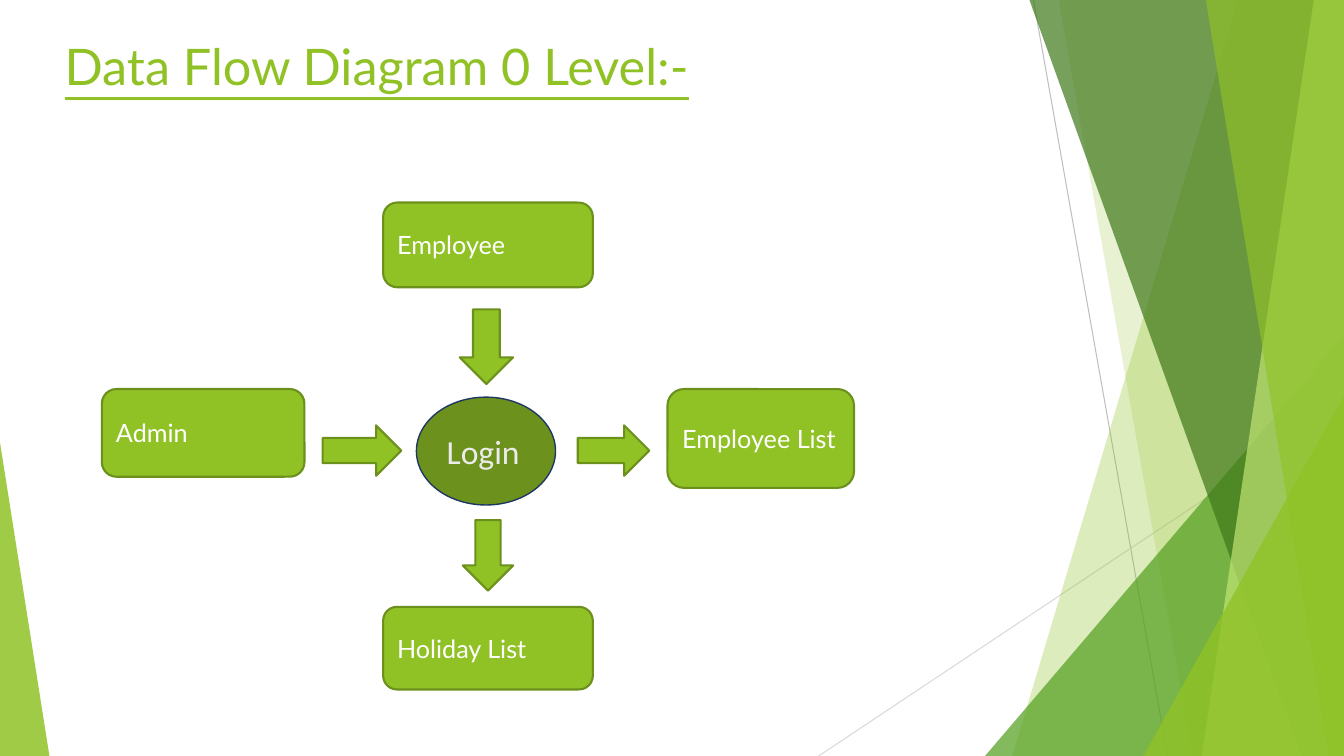
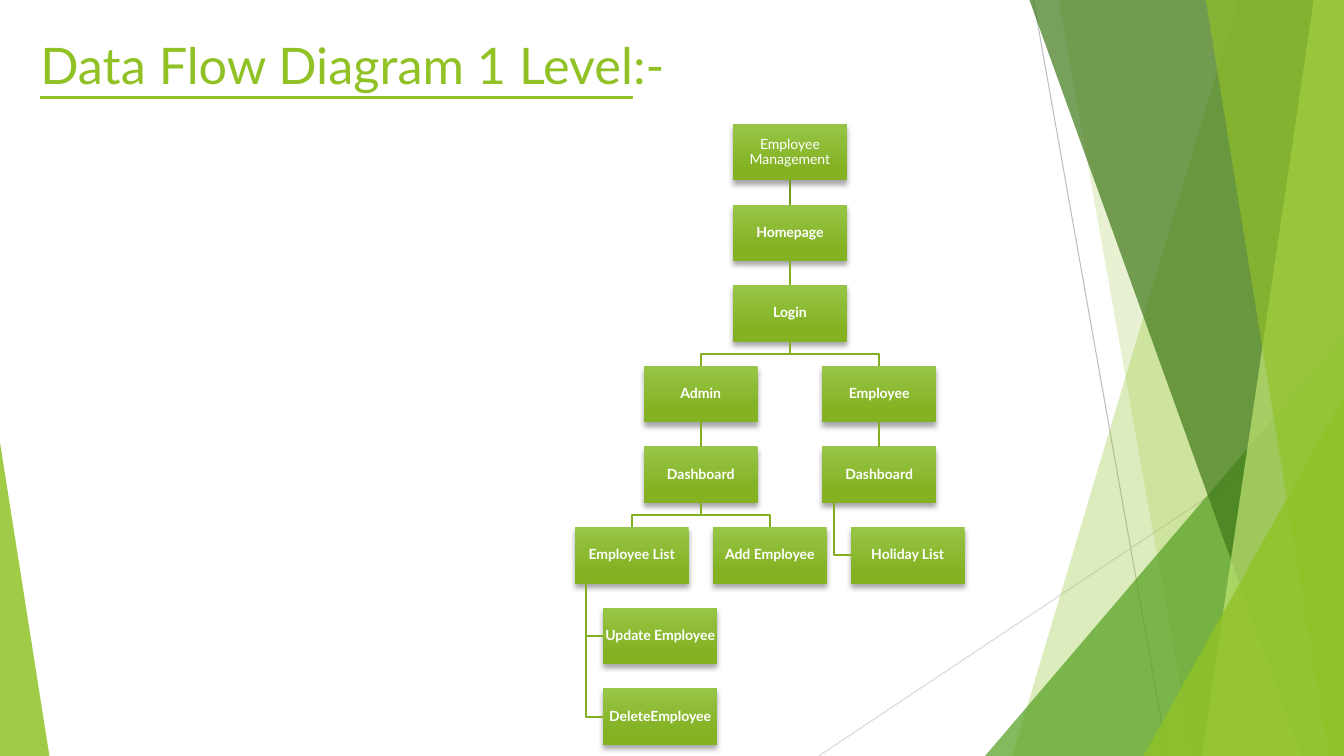
from dataclasses import dataclass, field

from lxml import etree
from pptx import Presentation
from pptx import util as u
from pptx.dml.color import RGBColor
from pptx.enum import shapes, text
from pptx.oxml.ns import qn


@dataclass(frozen=True)
class Theme:
    """Colours, fonts and type sizes of the deck."""
    green: str = "90C226"
    leaf: str = "54A021"
    forest: str = "3F7819"
    lime: str = "C0E474"
    outline: str = "6B901C"
    hub: str = "6C921D"
    hub_line: str = "1F3763"
    hub_text: str = "EBEBEB"
    link: str = "83B022"
    root_link: str = "739B1E"
    node_top: str = "97C547"
    node_bottom: str = "84B223"
    ray: str = "BFBFBF"
    pale_ray: str = "D9D9D9"
    white: str = "FFFFFF"
    black: str = "000000"
    font: str = "Lato"
    hub_font: str = "Calibri"
    title_size: int = 36
    hub_size: int = 24
    box_size: int = 18
    node_size: int = 10


@dataclass
class Node:
    """A box of the tree; its children spread sideways, or hang if spread is zero."""
    label: str
    children: list = field(default_factory=list)
    spread: float = 0


THEME = Theme()
WIDTH, HEIGHT = 13.33, 7.5
KIND = shapes.MSO_SHAPE


def rgb(code):
    """Turn a hex code into a colour."""
    return RGBColor.from_string(code)


def paint(shape, fill=None, line=None, weight=1.5, opacity=100):
    """Give a shape its fill and line, without a shadow."""
    shape.shadow.inherit = False
    if fill:
        shape.fill.solid()
        shape.fill.fore_color.rgb = rgb(fill)
        if opacity < 100:
            tint = shape.element.spPr.find(f"{qn('a:solidFill')}/{qn('a:srgbClr')}")
            etree.SubElement(tint, qn("a:alpha"), val=str(opacity * 1000))
    else:
        shape.fill.background()
    if line:
        shape.line.color.rgb = rgb(line)
        shape.line.width = u.Pt(weight)
    else:
        shape.line.fill.background()


def place(parts, kind, box):
    """Add a preset shape in a box given in inches."""
    return parts.add_shape(kind, *map(u.Inches, box))


def straight(parts, start, end, color, weight):
    """Draw a straight line between two points."""
    line = parts.add_connector(shapes.MSO_CONNECTOR.STRAIGHT,
                               *map(u.Inches, (*start, *end)))
    line.line.color.rgb = rgb(color)
    line.line.width = u.Pt(weight)
    etree.SubElement(line.element.spPr, qn("a:effectLst"))
    return line


def outline(parts, points, close):
    """Build a freeform through the points."""
    start, *rest = [tuple(map(u.Inches, point)) for point in points]
    builder = parts.build_freeform(*start)
    builder.add_line_segments(rest, close=close)
    return builder.convert_to_shape()


def write(paragraph, words, size, color, font=THEME.font, **style):
    """Add one formatted run."""
    run = paragraph.add_run()
    run.text = words
    run.font.name = font
    run.font.size = u.Pt(size)
    run.font.color.rgb = rgb(color)
    for name, value in style.items():
        setattr(run.font, name, value)


def caption(shape, words, size, color, align=text.PP_ALIGN.LEFT, **style):
    """Write vertically centred words in a shape."""
    frame = shape.text_frame
    frame.word_wrap = True
    frame.vertical_anchor = text.MSO_ANCHOR.MIDDLE
    paragraph = frame.paragraphs[0]
    paragraph.alignment = align
    write(paragraph, words, size, color, **style)
    return frame


def shard(parts, top, bottom, color, opacity):
    """Draw a slanted band that reaches the right edge."""
    corners = [(top, 0), (WIDTH, 0), (WIDTH, HEIGHT), (bottom, HEIGHT)]
    paint(outline(parts, corners, True), color, opacity=opacity)


def wedge(parts, left, top, width, apex, color, opacity):
    """Draw a triangle that stands on the lower edge."""
    triangle = place(parts, KIND.ISOSCELES_TRIANGLE, (left, top, width, HEIGHT - top))
    triangle.adjustments[0] = apex
    paint(triangle, color, opacity=opacity)


def backdrop(slide):
    """Draw the rays and shards, then move them to the slide's layout."""
    group = slide.shapes.add_group_shape()
    parts = group.shapes
    straight(parts, (10.25, 0), (11.58, HEIGHT), THEME.ray, 0.75)
    straight(parts, (WIDTH, 4.03), (8.12, HEIGHT), THEME.pale_ray, 0.75)
    shard(parts, 12.28, 10.04, THEME.green, 30)
    shard(parts, 10.5, 11.83, THEME.green, 20)
    wedge(parts, 9.77, 3.33, 3.56, 1, THEME.leaf, 72)
    shard(parts, 10.21, 12.91, THEME.forest, 70)
    shard(parts, 13.03, 11.92, THEME.lime, 70)
    shard(parts, 11.96, 13.18, THEME.green, 65)
    wedge(parts, 11.34, 3.93, 1.99, 1, THEME.green, 80)
    wedge(parts, 0, 4.39, 0.49, 0, THEME.green, 85)
    slide.slide_layout.shapes.element.insert(2, group.element)


def heading(slide, box, underlined, plain=""):
    """Place the title and underline its first part."""
    title = slide.shapes.title
    title.left, title.top, title.width, title.height = map(u.Inches, box)
    frame = title.text_frame
    frame.auto_size = text.MSO_AUTO_SIZE.NONE
    frame.vertical_anchor = text.MSO_ANCHOR.TOP
    paragraph = frame.paragraphs[0]
    paragraph.alignment = text.PP_ALIGN.LEFT
    write(paragraph, underlined, THEME.title_size, THEME.green, underline=True)
    if plain:
        write(paragraph, plain, THEME.title_size, THEME.green)


def context_diagram(slide, left, top):
    """Draw the login hub, its four neighbours and the arrows between them."""
    entities = [
        ("Admin", (0, 1.85, 2.01, 0.87)),
        ("Employee List", (5.61, 1.85, 1.85, 0.98)),
        ("Holiday List", (2.79, 4.01, 2.08, 0.82)),
        ("Employee", (2.79, 0, 2.08, 0.84)),
    ]
    flows = [
        (KIND.RIGHT_ARROW, (2.19, 2.21, 0.78, 0.5)),
        (KIND.RIGHT_ARROW, (4.72, 2.21, 0.71, 0.5)),
        (KIND.DOWN_ARROW, (3.55, 1.06, 0.53, 0.74)),
        (KIND.DOWN_ARROW, (3.58, 3.15, 0.5, 0.7)),
    ]

    def add(kind, box):
        """Place a part relative to the diagram's corner."""
        x, y, width, height = box
        return place(slide.shapes, kind, (left + x, top + y, width, height))

    for label, box in entities:
        entity = add(KIND.ROUNDED_RECTANGLE, box)
        paint(entity, THEME.green, THEME.outline)
        caption(entity, label, THEME.box_size, THEME.white)
    for kind, box in flows:
        paint(add(kind, box), THEME.green, THEME.outline)
    login = add(KIND.OVAL, (3.12, 1.93, 1.38, 1.07))
    paint(login, THEME.hub, THEME.hub_line, 1)
    caption(login, "Login", THEME.hub_size, THEME.hub_text, font=THEME.hub_font)


def node_box(slide, label, box, bold):
    """Draw one shaded box of the tree."""
    card = place(slide.shapes, KIND.RECTANGLE, box)
    paint(card)
    card.fill.gradient()
    card.fill.gradient_angle = 270
    shades = [(THEME.node_top, 0), (THEME.node_bottom, 0.78)]
    for stop, (color, position) in zip(card.fill.gradient_stops, shades):
        stop.color.rgb = rgb(color)
        stop.position = position
    shadow = etree.SubElement(
        card.element.spPr.find(qn("a:effectLst")), qn("a:outerShdw"),
        blurRad=str(u.Pt(4)), dist=str(u.Pt(3)), dir="5400000", rotWithShape="0")
    black = etree.SubElement(shadow, qn("a:srgbClr"), val=THEME.black)
    etree.SubElement(black, qn("a:alpha"), val="35000")
    frame = caption(card, label, THEME.node_size, THEME.white,
                    text.PP_ALIGN.CENTER, bold=bold)
    frame.paragraphs[0].line_spacing = 0.9
    for side in ("left", "right", "top", "bottom"):
        setattr(frame, f"margin_{side}", u.Inches(0.01))
    return card


def tree(slide, node, left, top, root=True):
    """Draw a node, then its children and the links to them."""
    width, height, pitch = 1.13, 0.56, 0.8
    indent, stem = width / 4, width / 10
    card = node_box(slide, node.label, (left, top, width, height), not root)
    color = THEME.root_link if root else THEME.link
    middle, base = left + width / 2, top + height
    for index, child in enumerate(node.children):
        if node.spread:
            shift = (index - (len(node.children) - 1) / 2) * node.spread
            row = top + pitch
            fork = (base + row) / 2
            route = [(middle, base), (middle, fork),
                     (middle + shift, fork), (middle + shift, row)]
        else:
            shift, row = indent, top + pitch * (index + 1)
            level = row + height / 2
            route = [(left + stem, base), (left + stem, level), (left + indent, level)]
        below = tree(slide, child, left + shift, row, False)
        if shift:
            paint(outline(slide.shapes, route, False), line=color)
        else:
            link = straight(slide.shapes, route[0], route[-1], color, 1.5)
            link.begin_connect(card, 2)
            link.end_connect(below, 0)
    return card


def main():
    """Build both slides and save the deck."""
    deck = Presentation()
    deck.slide_width, deck.slide_height = u.Inches(WIDTH), u.Inches(HEIGHT)
    title_only = deck.slide_layouts[5]

    level_0 = deck.slides.add_slide(title_only)
    backdrop(level_0)
    heading(level_0, (0.54, 0.3, 6.85, 0.7), "Data Flow Diagram 0 Level:-")
    context_diagram(level_0, 1.01, 2.01)

    level_1 = deck.slides.add_slide(title_only)
    heading(level_1, (0.3, 0.29, 9.96, 0.94), "Data Flow Diagram 1 Level", ":-")
    employee_list = Node("Employee List", [Node("Update Employee"), Node("DeleteEmployee")])
    admin_dashboard = Node("Dashboard", [employee_list, Node("Add Employee")], 1.37)
    admin = Node("Admin", [admin_dashboard], 1)
    employee = Node("Employee", [Node("Dashboard", [Node("Holiday List")])], 1)
    login = Node("Login", [admin, employee], 1.77)
    homepage = Node("Homepage", [login], 1)
    tree(level_1, Node("Employee Management", [homepage], 1), 7.27, 1.23)

    deck.save("out.pptx")


main()
